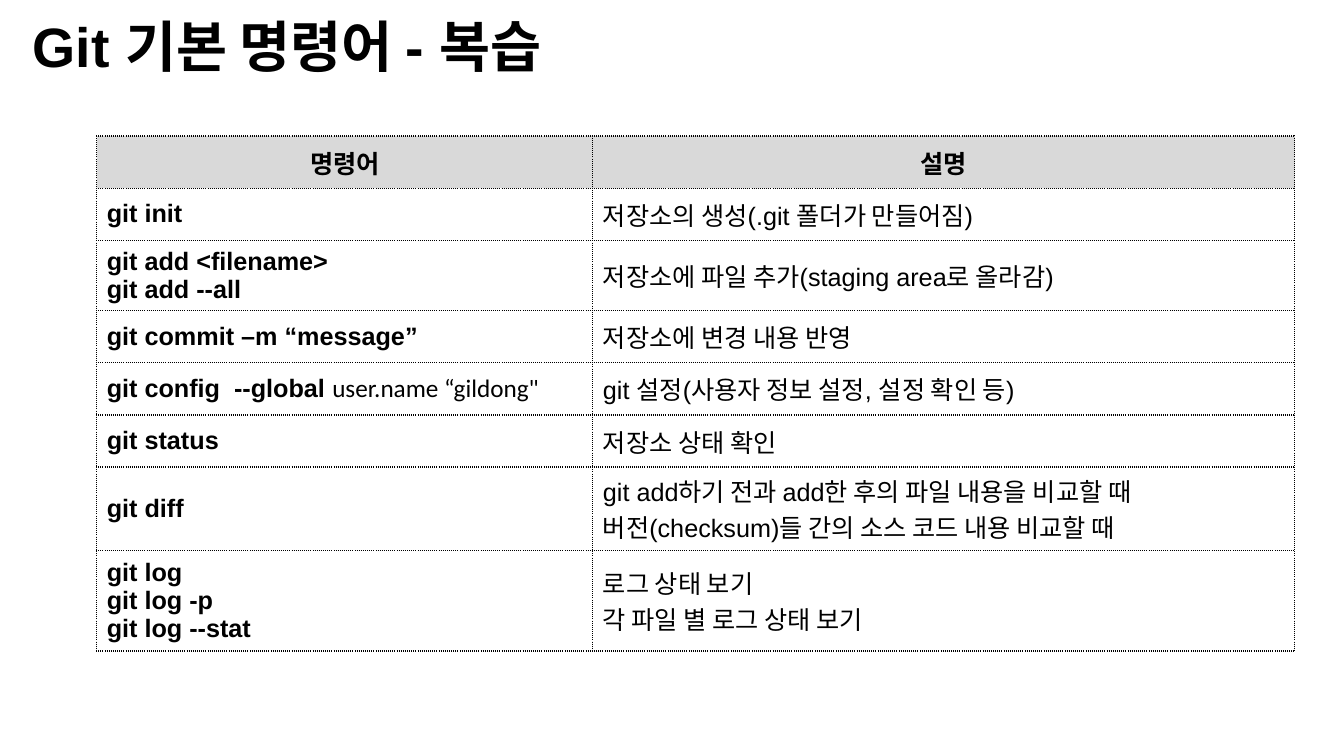
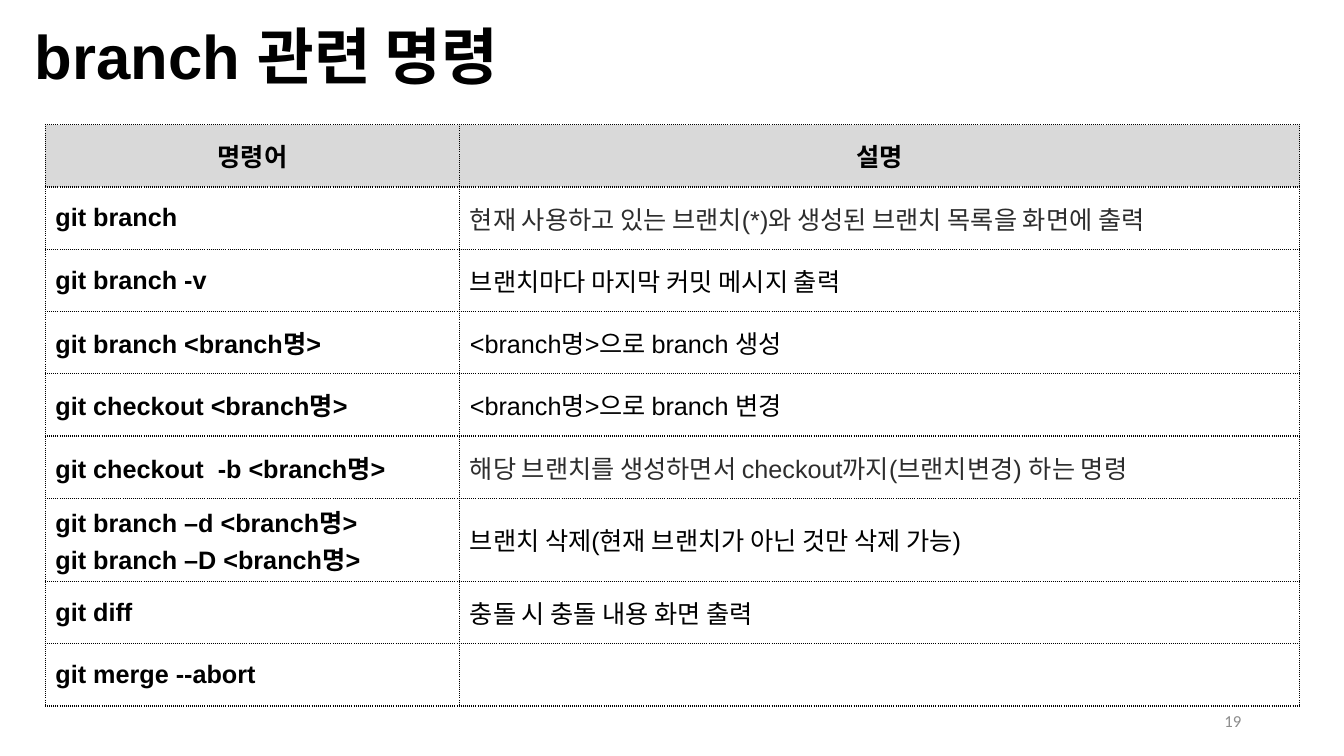
from dataclasses import dataclass

from lxml import etree
from pptx import Presentation
from pptx.dml.color import RGBColor
from pptx.enum.text import MSO_ANCHOR, PP_ALIGN
from pptx.oxml.ns import qn
from pptx.util import Inches, Pt

LEFT, MID, RIGHT = PP_ALIGN.LEFT, PP_ALIGN.CENTER, PP_ALIGN.RIGHT
CENTRE = MSO_ANCHOR.MIDDLE

WIDE, HIGH = Inches(13.33), Inches(7.5)
INK, SOFT, PALE, GREY = "000000", "2D2D2D", "D9D9D9", "8C8C8C"
SANS, PLAIN = "Arial", "Calibri"
HEADS = ("명령어", "설명")
SIDES = ("a:lnL", "a:lnR", "a:lnT", "a:lnB")
# Row heights, in percent, for two Latin, two Korean and three Latin lines
PAIR, DUO, TRIO = 8.8, 11, 12.6


@dataclass(frozen=True)
class Box:
    """A place, in percent of the slide's width and height."""
    left: float
    top: float
    wide: float
    high: float


@dataclass(frozen=True)
class Row:
    """A command and its meaning; tail is a plain end to the command."""
    cmd: str
    note: str = ""
    hue: str = INK
    tail: str = ""
    high: float = 0


@dataclass(frozen=True)
class Grid:
    """A table's corner, column widths and usual row height, in percent."""
    left: float
    top: float
    cols: tuple[float, float]
    step: float
    rows: tuple[Row, ...]


@dataclass(frozen=True)
class Page:
    """One slide: its title, its table and its number, if shown."""
    title: str
    box: Box
    size: float
    grid: Grid
    num: str = ""


def across(share: float) -> int:
    """Turn a percentage of the slide's width into a length."""
    return round(WIDE * share / 100)


def down(share: float) -> int:
    """Turn a percentage of the slide's height into a length."""
    return round(HIGH * share / 100)


def tint(code: str) -> RGBColor:
    """Turn a hex string into a colour."""
    return RGBColor.from_string(code)


def write(frame, text: str, *, size: float = 18, face: str = SANS,
          hue: str = INK, bold: bool = False, align=LEFT,
          lead: float | None = None, join: bool = False) -> None:
    """Write one paragraph per line, or join text to the last paragraph."""
    for num, line in enumerate(text.split("\n")):
        para = frame.add_paragraph() if num else frame.paragraphs[-1]
        if not join:
            para.alignment, para.line_spacing = align, lead
        run = para.add_run()
        run.text = line
        font = run.font
        font.size, font.name, font.bold = Pt(size), face, bold
        font.color.rgb = tint(hue)


def label(slide, box: Box, text: str, **form) -> None:
    """Add a wrapped text box, centred from top to bottom."""
    frame = slide.shapes.add_textbox(
        across(box.left), down(box.top),
        across(box.wide), down(box.high)).text_frame
    frame.word_wrap = True
    frame.vertical_anchor = CENTRE
    write(frame, text, **form)


def edge(cell) -> None:
    """Give all four sides of a cell a thin dotted line."""
    props = cell._tc.get_or_add_tcPr()
    for side in SIDES:
        line = etree.SubElement(props, qn(side), w=str(Pt(1)))
        fill = etree.SubElement(line, qn("a:solidFill"))
        etree.SubElement(fill, qn("a:srgbClr"), val=INK)
        etree.SubElement(line, qn("a:prstDash"), val="sysDot")


def style(cell, head: bool) -> None:
    """Set a cell's border, fill and anchor."""
    edge(cell)
    cell.vertical_anchor = CENTRE
    if head:
        cell.fill.solid()
        cell.fill.fore_color.rgb = tint(PALE)
    else:
        cell.fill.background()


def list_rows(slide, grid: Grid) -> None:
    """Draw the table of commands, each row as tall as its lines need."""
    highs = [grid.step] + [row.high or grid.step for row in grid.rows]
    table = slide.shapes.add_table(
        len(highs), len(HEADS), across(grid.left), down(grid.top),
        across(sum(grid.cols)), down(sum(highs))).table
    table.first_row = table.horz_banding = False
    for col, share in zip(table.columns, grid.cols):
        col.width = across(share)
    for num, (row, share) in enumerate(zip(table.rows, highs)):
        row.height = down(share)
        for cell in row.cells:
            style(cell, num == 0)
    for col, head in enumerate(HEADS):
        write(table.cell(0, col).text_frame, head, bold=True, align=MID)
    for num, row in enumerate(grid.rows, 1):
        left, right = (table.cell(num, col).text_frame for col in (0, 1))
        write(left, row.cmd, bold=True)
        if row.tail:
            write(left, row.tail, face=PLAIN, join=True)
        if row.note:
            write(right, row.note, hue=row.hue)


def build(deck, page: Page) -> None:
    """Add one slide to the deck."""
    slide = deck.slides.add_slide(deck.slide_layouts[6])
    label(slide, page.box, page.title, size=page.size, bold=True, lead=0.9)
    if page.num:
        label(slide, Box(70.6, 92.67, 22.5, 5.33), page.num,
              size=12, face=PLAIN, hue=GREY, align=RIGHT)
    list_rows(slide, page.grid)


BASICS = (
    Row("git init", "저장소의 생성(.git 폴더가 만들어짐)"),
    Row("git add <filename>\ngit add --all",
        "저장소에 파일 추가(staging area로 올라감)", high=PAIR),
    Row("git commit –m “message”", "저장소에 변경 내용 반영"),
    Row("git config  --global ", "git 설정(사용자 정보 설정, 설정 확인 등)",
        tail="user.name “gildong\""),
    Row("git status", "저장소 상태 확인"),
    Row("git diff", "git add하기 전과 add한 후의 파일 내용을 비교할 때\n"
        "버전(checksum)들 간의 소스 코드 내용 비교할 때", high=DUO),
    Row("git log\ngit log -p\ngit log --stat",
        "로그 상태 보기\n각 파일 별 로그 상태 보기", high=TRIO),
)
BRANCH = (
    Row("git branch",
        "현재 사용하고 있는 브랜치(*)와 생성된 브랜치 목록을 화면에 출력", SOFT),
    Row("git branch -v", "브랜치마다 마지막 커밋 메시지 출력"),
    Row("git branch <branch명>", "<branch명>으로 branch 생성"),
    Row("git checkout <branch명>", "<branch명>으로 branch 변경"),
    Row("git checkout  -b <branch명>",
        "해당 브랜치를 생성하면서 checkout까지(브랜치변경) 하는 명령", SOFT),
    Row("git branch –d <branch명>\ngit branch –D <branch명>",
        "브랜치 삭제(현재 브랜치가 아닌 것만 삭제 가능)", high=DUO),
    Row("git diff", "충돌 시 충돌 내용 화면 출력"),
    Row("git merge --abort"),
)
PAGES = (
    Page("Git 기본 명령어 - 복습", Box(1.7, 1.73, 86.27, 9.6), 39.6,
         Grid(7.2, 18, (36.91, 52.21), 6.89, BASICS)),
    Page("branch 관련 명령", Box(1.85, 2.5, 86.27, 10.8), 44,
         Grid(3.38, 16.5, (30.83, 62.5), 8.24, BRANCH), "19"),
)


def main() -> None:
    """Build and save the deck."""
    deck = Presentation()
    deck.slide_width, deck.slide_height = WIDE, HIGH
    for page in PAGES:
        build(deck, page)
    deck.save("out.pptx")


main()
